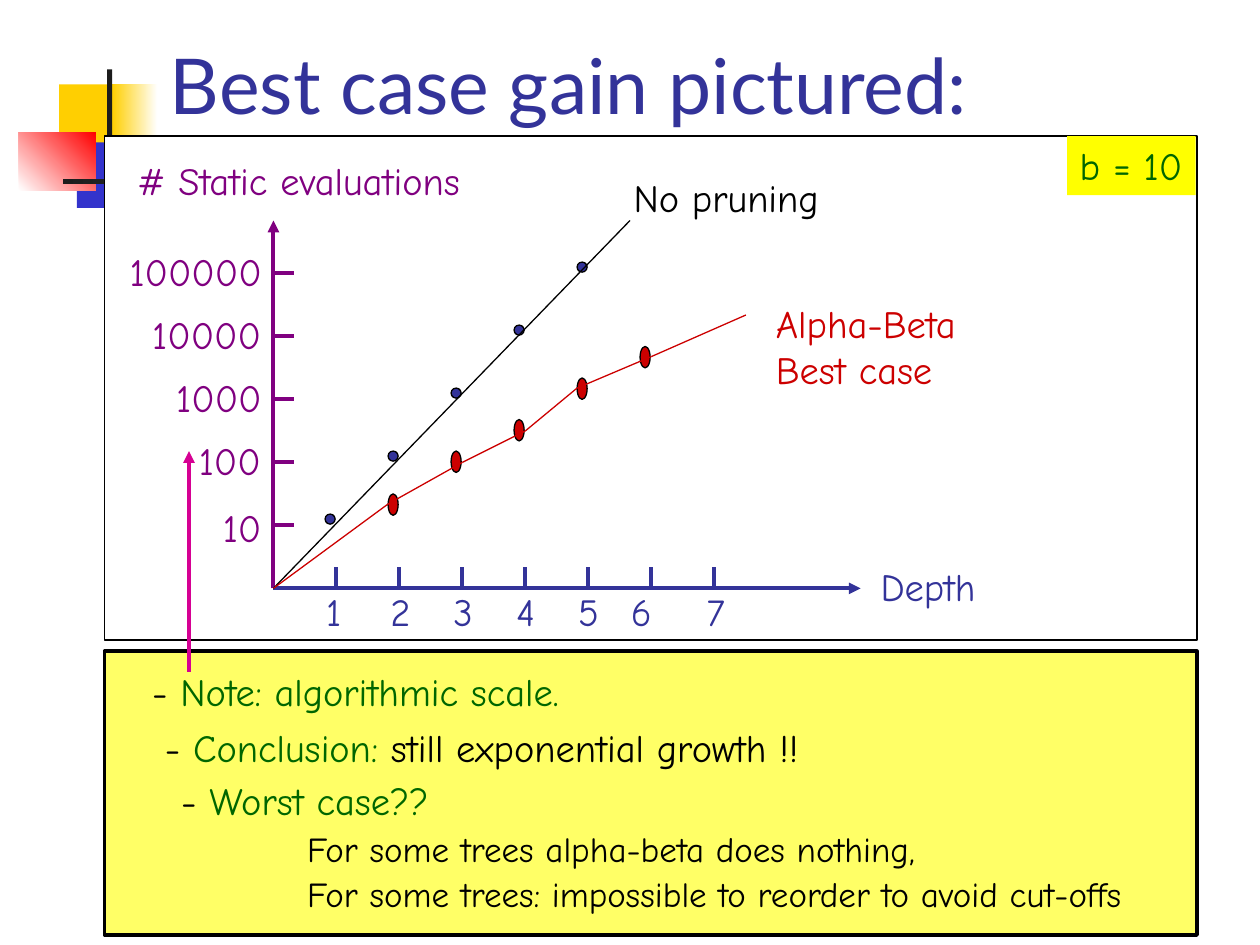
from itertools import pairwise

from lxml.etree import SubElement
from pptx import Presentation
from pptx.dml.color import RGBColor
from pptx.enum.shapes import MSO_CONNECTOR, MSO_SHAPE
from pptx.enum.text import MSO_ANCHOR, MSO_AUTO_SIZE, PP_ALIGN
from pptx.oxml.ns import qn
from pptx.util import Inches, Pt

BLACK, WHITE, NAVY, PURPLE = "000000", "FFFFFF", "333399", "800080"
RED, GREEN, MAGENTA, GOLD, CHARCOAL = "CC0000", "006600", "D60093", "FFCF01", "1C1C1C"
BODY_FONT = "Comic Neue"
ORIGIN_X, ORIGIN_Y, STEP = 2.17, 4.67, 0.5


def color(hex_value):
    return RGBColor.from_string(hex_value)


def add_box(slide, left, top, width, height, fill, line=None, line_width=0.75, kind=MSO_SHAPE.RECTANGLE):
    shape = slide.shapes.add_shape(kind, Inches(left), Inches(top), Inches(width), Inches(height))
    shape.shadow.inherit = False
    shape.fill.solid()
    shape.fill.fore_color.rgb = color(fill)
    if line:
        shape.line.color.rgb = color(line)
        shape.line.width = Pt(line_width)
    else:
        shape.line.fill.background()
    return shape


def add_gradient(slide, left, top, width, height, start, end, angle=0):
    shape = add_box(slide, left, top, width, height, start)
    shape.fill.gradient()
    shape.fill.gradient_angle = angle
    for stop, hex_value in zip(shape.fill.gradient_stops, (start, end)):
        stop.color.rgb = color(hex_value)


def add_line(slide, start, end, hex_value, width=2.25, arrow=False):
    connector = slide.shapes.add_connector(MSO_CONNECTOR.STRAIGHT, *map(Inches, start + end))
    connector.line.color.rgb = color(hex_value)
    connector.line.width = Pt(width)
    if arrow:
        SubElement(connector.line._get_or_add_ln(), qn("a:tailEnd"), type="triangle")
    SubElement(connector._element.spPr, qn("a:effectLst"))


def write(shape, paragraphs, size=22, font=BODY_FONT):
    frame = shape.text_frame
    frame.word_wrap = False
    frame.vertical_anchor = MSO_ANCHOR.TOP
    for index, runs in enumerate(paragraphs):
        paragraph = frame.add_paragraph() if index else frame.paragraphs[0]
        paragraph.alignment = PP_ALIGN.LEFT
        paragraph.font.name = font
        paragraph.font.size = Pt(size)
        for text, hex_value in runs:
            run = paragraph.add_run()
            run.text = text
            run.font.color.rgb = color(hex_value)
    return frame


def add_text(slide, left, top, width, height, *paragraphs, **style):
    box = slide.shapes.add_textbox(Inches(left), Inches(top), Inches(width), Inches(height))
    frame = write(box, paragraphs, **style)
    frame.auto_size = MSO_AUTO_SIZE.SHAPE_TO_FIT_TEXT
    return frame


def add_label(slide, left, top, width, text, hex_value):
    add_text(slide, left, top, width, 0.47, [(text, hex_value)])


def add_decoration(slide):
    add_box(slide, 0.47, 0.67, 0.48, 0.52, GOLD)
    add_gradient(slide, 0.89, 0.67, 0.36, 0.52, GOLD, WHITE)
    add_box(slide, 0.61, 1.13, 0.46, 0.52, "3333CC")
    add_gradient(slide, 0.15, 1.05, 0.61, 0.46, WHITE, "FF0000", 45)
    add_box(slide, 0.85, 0.55, 0.04, 1.15, CHARCOAL)
    add_gradient(slide, 0.5, 1.42, 9, 0.04, CHARCOAL, WHITE)


def add_title(slide):
    frame = add_text(slide, 1.25, 0.08, 7.83, 1, [("Best case gain pictured:", NAVY)], size=44, font="Lato")
    frame.auto_size = MSO_AUTO_SIZE.NONE
    frame.word_wrap = True
    frame.vertical_anchor = MSO_ANCHOR.BOTTOM


def add_axes(slide):
    origin = (ORIGIN_X, ORIGIN_Y)
    add_line(slide, origin, (ORIGIN_X, 1.75), PURPLE, arrow=True)
    add_line(slide, origin, (6.83, ORIGIN_Y), NAVY, arrow=True)
    label_corners = ((1.67, 3.95), (1.48, 3.42), (1.3, 2.92), (1.11, 2.42), (0.93, 1.92))
    for power, (left, top) in enumerate(label_corners, 1):
        y = ORIGIN_Y - power * STEP
        add_line(slide, (ORIGIN_X, y), (2.33, y), PURPLE)
        add_label(slide, left, top, 0.35 + 0.19 * power, str(10 ** power), PURPLE)
    label_lefts = (2.49, 3, 3.5, 4, 4.49, 4.91, 5.51)
    for depth, left in enumerate(label_lefts, 1):
        x = ORIGIN_X + depth * STEP
        add_line(slide, (x, 4.5), (x, ORIGIN_Y), NAVY)
        add_label(slide, left, 4.62, 0.32 if depth == 1 else 0.36, str(depth), NAVY)
    add_label(slide, 0.99, 1.2, 2.77, "# Static evaluations", PURPLE)
    add_label(slide, 6.89, 4.42, 0.96, "Depth", NAVY)


def add_point(slide, depth, top, height, fill):
    add_box(slide, 2.08 + depth * STEP, top, 0.08, height, fill, BLACK, kind=MSO_SHAPE.OVAL)


def add_no_pruning(slide):
    for depth in range(1, 6):
        add_point(slide, depth, 4.58 - depth * STEP, 0.08, NAVY)
    add_line(slide, (ORIGIN_X, ORIGIN_Y), (5, 1.75), BLACK, 0.75)
    add_label(slide, 4.93, 1.33, 1.67, "No pruning", BLACK)


def add_alpha_beta(slide):
    for depth, top in enumerate((3.92, 3.58, 3.33, 3, 2.75), 2):
        add_point(slide, depth, top, 0.17, RED)
    curve = [(ORIGIN_X, ORIGIN_Y), (3.08, 4), (3.67, 3.67), (4.17, 3.42),
             (4.58, 3.08), (5.17, 2.83), (5.92, 2.5)]
    for start, end in pairwise(curve):
        add_line(slide, start, end, RED, 0.75)
    add_text(slide, 6.06, 2.33, 1.63, 0.84, [("Alpha-Beta", RED)], [("Best case", RED)])


def add_notes_panel(slide):
    add_box(slide, 0.83, 5.17, 8.67, 2.25, "FFFF66", BLACK, 2.25)
    dash = ("- ", BLACK)
    add_text(slide, 1.11, 5.25, 3.54, 0.47, [dash, ("Note: algorithmic scale.", GREEN)])
    add_text(slide, 1.21, 5.7, 5.33, 0.47,
             [dash, ("Conclusion: ", GREEN), ("still exponential growth !!", BLACK)])
    frame = add_text(slide, 1.34, 6.12, 7.93, 1.57,
                     [dash, ("Worst case??", GREEN)],
                     [("For some trees alpha-beta does nothing,", BLACK)],
                     [("For some trees: impossible to reorder to avoid cut-offs", BLACK)])
    frame.auto_size = MSO_AUTO_SIZE.NONE
    frame.word_wrap = True
    for paragraph in frame.paragraphs[1:]:
        paragraph.font.size = Pt(20)
        paragraph.space_before = Pt(2)
        paragraph._p.get_or_add_pPr().set("marL", str(Inches(1)))


def main():
    presentation = Presentation()
    presentation.slide_width = Inches(10)
    presentation.slide_height = Inches(7.5)
    slide = presentation.slides.add_slide(presentation.slide_layouts[6])
    add_decoration(slide)
    add_title(slide)
    add_box(slide, 0.83, 1.08, 8.67, 4, WHITE, BLACK)
    add_axes(slide)
    add_no_pruning(slide)
    write(add_box(slide, 8.47, 1.08, 1.02, 0.47, "FFFF00"), [[("b = 10", GREEN)]])
    add_alpha_beta(slide)
    add_notes_panel(slide)
    add_line(slide, (1.5, 5.33), (1.5, 3.58), MAGENTA, arrow=True)
    presentation.save("out.pptx")


if __name__ == "__main__":
    main()
